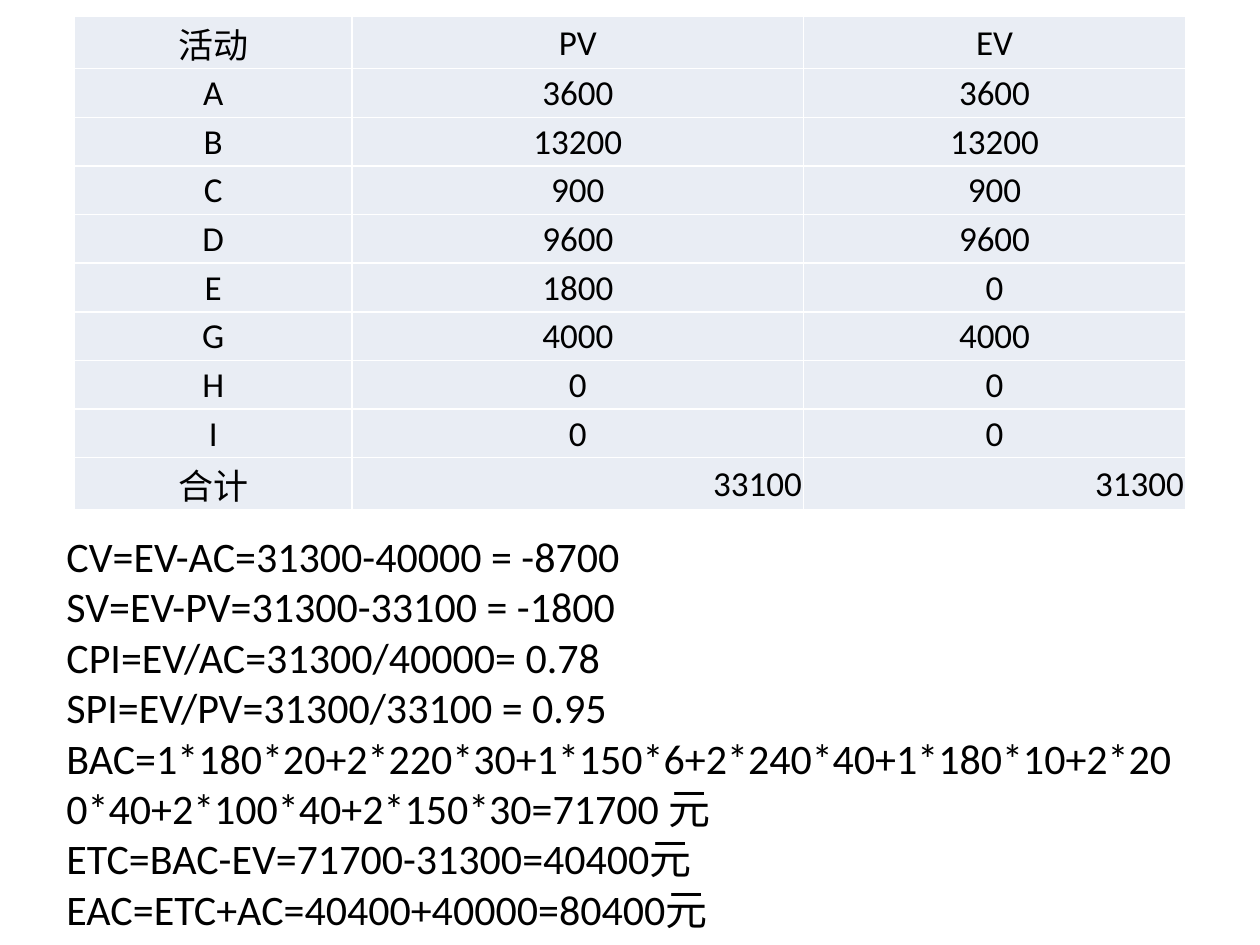
from lxml.etree import SubElement
from pptx import Presentation
from pptx.dml.color import RGBColor
from pptx.enum.text import MSO_ANCHOR, MSO_AUTO_SIZE, PP_ALIGN
from pptx.oxml.ns import qn
from pptx.util import Cm, Pt

FONT = "Calibri"
BLACK, WHITE, PALE_BLUE = "000000", "FFFFFF", "E9EDF4"
COLUMN_WIDTHS = [5.6, 9.1, 7.7]
ROW_HEIGHT = 0.98
ACTIVITIES = [
    ("活动", "PV", "EV"),
    ("A", "3600", "3600"),
    ("B", "13200", "13200"),
    ("C", "900", "900"),
    ("D", "9600", "9600"),
    ("E", "1800", "0"),
    ("G", "4000", "4000"),
    ("H", "0", "0"),
    ("I", "0", "0"),
    ("合计", "33100", "31300"),
]
VARIANCES = [
    "CV=EV-AC=31300-40000 = -8700 ",
    "SV=EV-PV=31300-33100 = -1800 ",
    "CPI=EV/AC=31300/40000= 0.78 ",
    "SPI=EV/PV=31300/33100 = 0.95",
]
FORECASTS = [
    "BAC=1*180*20+2*220*30+1*150*6+2*240*40+1*180*10+2*200*40"
    "+2*100*40+2*150*30=71700 元 ",
    "ETC=BAC-EV=71700-31300=40400元 ",
    "EAC=ETC+AC=40400+40000=80400元",
]


def colour(value):
    """Turn a hex string into a colour."""
    return RGBColor.from_string(value)


def format_para(para, size, align):
    """Set the alignment of a paragraph and the font of its runs."""
    para.alignment = align
    for span in para.runs:
        span.font.name = FONT
        span.font.size = Pt(size)
        span.font.color.rgb = colour(BLACK)


def add_borders(cell, value, width):
    """Draw a solid line on all four sides of a cell."""
    properties = cell._tc.get_or_add_tcPr()
    for side in ("a:lnL", "a:lnR", "a:lnT", "a:lnB"):
        line = SubElement(properties, qn(side), w=str(Pt(width)))
        fill = SubElement(line, qn("a:solidFill"))
        SubElement(fill, qn("a:srgbClr"), val=value)


def fill_cell(cell, text, align):
    """Write one cell and give it its margins, borders and fill."""
    cell.text_frame.text = text
    format_para(cell.text_frame.paragraphs[0], 20, align)
    cell.vertical_anchor = MSO_ANCHOR.MIDDLE
    cell.margin_left = cell.margin_right = cell.margin_top = Cm(0.03)
    cell.margin_bottom = 0
    add_borders(cell, WHITE, 1)
    cell.fill.solid()
    cell.fill.fore_color.rgb = colour(PALE_BLUE)


def add_activity_table(page, left, top):
    """Add the table of planned and earned values with its totals."""
    count = len(ACTIVITIES)
    table = page.shapes.add_table(
        count, len(COLUMN_WIDTHS), Cm(left), Cm(top),
        Cm(sum(COLUMN_WIDTHS)), Cm(ROW_HEIGHT * count)).table
    table.first_row = table.horz_banding = False
    for column, width in zip(table.columns, COLUMN_WIDTHS):
        column.width = Cm(width)
    for row_index, values in enumerate(ACTIVITIES):
        table.rows[row_index].height = Cm(ROW_HEIGHT)
        for column_index, text in enumerate(values):
            is_total = row_index == count - 1 and column_index > 0
            align = PP_ALIGN.RIGHT if is_total else PP_ALIGN.CENTER
            fill_cell(table.cell(row_index, column_index), text, align)


def add_calculations(page, left, top, width, height):
    """Add the variance and forecast formulas."""
    box = page.shapes.add_textbox(Cm(left), Cm(top), Cm(width), Cm(height))
    frame = box.text_frame
    frame.word_wrap = True
    frame.auto_size = MSO_AUTO_SIZE.SHAPE_TO_FIT_TEXT
    frame.text = "\n".join("\v".join(lines) for lines in (VARIANCES, FORECASTS))
    for para in frame.paragraphs:
        format_para(para, 24, PP_ALIGN.LEFT)


def main():
    """Build and save the deck."""
    deck = Presentation()
    deck.slide_width, deck.slide_height = Cm(25.4), Cm(19.05)
    page = deck.slides.add_slide(deck.slide_layouts[6])
    add_activity_table(page, 1.5, 0.33)
    add_calculations(page, 1.09, 10.57, 22.81, 8.46)
    deck.save("out.pptx")


if __name__ == "__main__":
    main()
